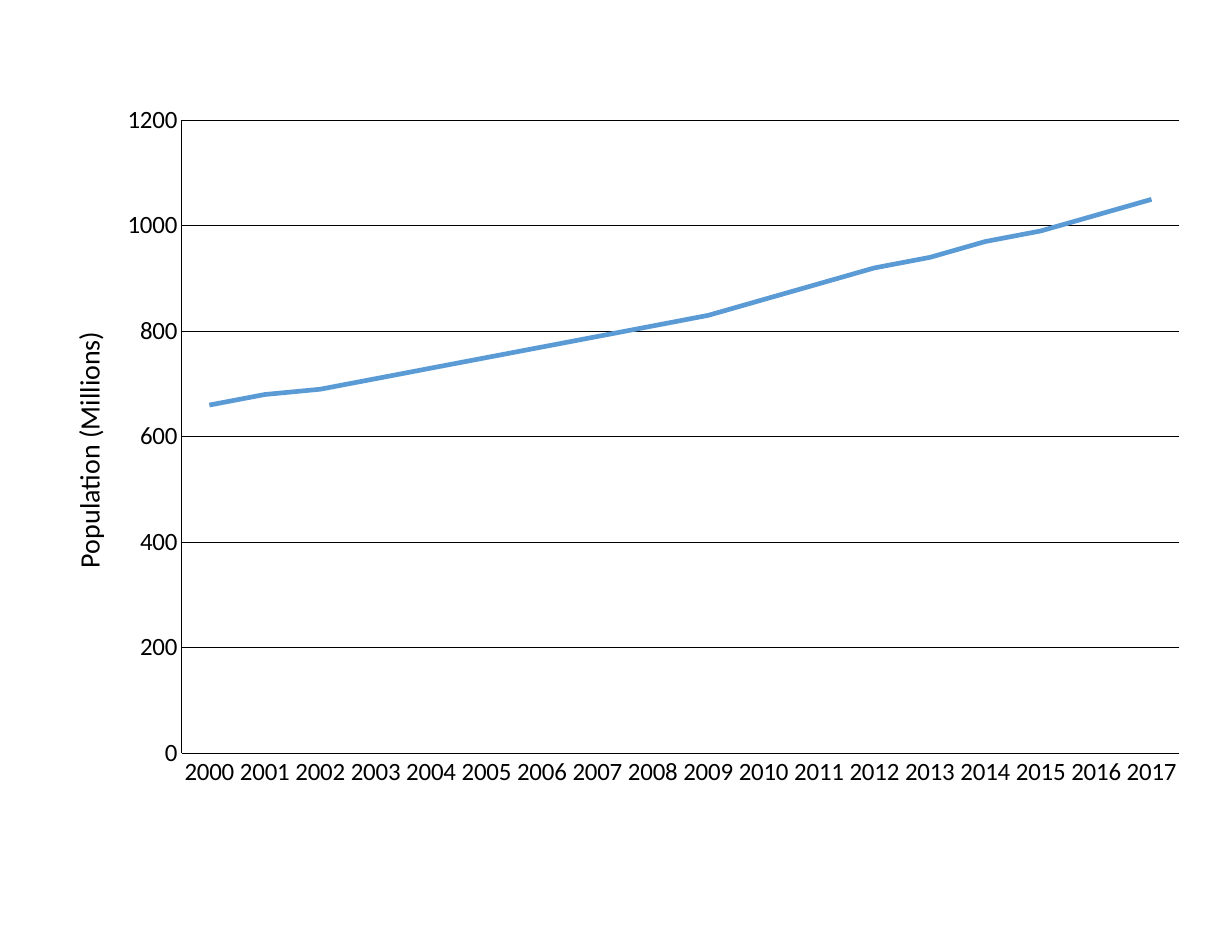
from lxml.etree import SubElement
from pptx import Presentation
from pptx.chart.data import CategoryChartData
from pptx.dml.color import RGBColor
from pptx.enum.chart import XL_CHART_TYPE, XL_MARKER_STYLE, XL_TICK_MARK
from pptx.oxml.ns import qn
from pptx.util import Inches, Pt

YEARS = range(2000, 2018)
PEOPLE = [660, 680, 690, 710, 730, 750, 770, 790, 810,
          830, 860, 890, 920, 940, 970, 990, 1020, 1050]
BLACK, BLUE = "000000", "5B9BD5"


def color(code):
    return RGBColor.from_string(code)


def style_font(font, size):
    font.name = "Calibri"
    font.size = Pt(size)
    font.bold = False
    font.color.rgb = color(BLACK)


def style_line(line, code, width):
    line.color.rgb = color(code)
    line.width = Pt(width)


def place(parent, index, **marks):
    """Give a chart part a manual layout, in fractions of the chart."""
    for old in parent.findall(qn("c:layout")):
        parent.remove(old)
    layout = SubElement(parent, qn("c:layout"))
    manual = SubElement(layout, qn("c:manualLayout"))
    for tag, val in marks.items():
        SubElement(manual, qn(f"c:{tag}")).set("val", str(val))
    parent.insert(index, layout)


def style_axis(axis):
    axis.major_tick_mark = axis.minor_tick_mark = XL_TICK_MARK.NONE
    style_font(axis.tick_labels.font, 16)
    style_line(axis.format.line, BLACK, 0.5)


def add_title(axis, text):
    frame = axis.axis_title.text_frame
    frame.text = text
    style_font(frame.paragraphs[0].runs[0].font, 18)
    place(axis.axis_title._element, 1,
          xMode="edge", yMode="edge", x=0.03, y=0.33)


def add_graph(slide):
    data = CategoryChartData()
    data.categories = [str(year) for year in YEARS]
    data.add_series("Series 1", PEOPLE)
    chart = slide.shapes.add_chart(
        XL_CHART_TYPE.LINE, Inches(0.26), Inches(0.82),
        Inches(10.48), Inches(6.35), data).chart
    chart.has_legend = chart.has_title = False
    style_font(chart.font, 10)

    plot = chart.plots[0]
    plot.vary_by_categories = False
    series = plot.series[0]
    series.smooth = False
    series.marker.style = XL_MARKER_STYLE.NONE
    style_line(series.format.line, BLUE, 3)

    values = chart.value_axis
    style_axis(chart.category_axis)
    style_axis(values)
    values.minimum_scale, values.maximum_scale = 0, 1200
    values.major_unit = 200
    style_line(values.major_gridlines.format.line, BLACK, 0.5)
    add_title(values, "Population (Millions)")
    area = chart._chartSpace.chart.plotArea
    place(area, 0, layoutTarget="inner", xMode="edge", yMode="edge",
          x=0.13, y=0.04, w=0.85, h=0.89)


def main():
    deck = Presentation()
    deck.slide_width, deck.slide_height = Inches(11), Inches(8.5)
    slide = deck.slides.add_slide(deck.slide_layouts[6])
    add_graph(slide)
    deck.save("out.pptx")


if __name__ == "__main__":
    main()
